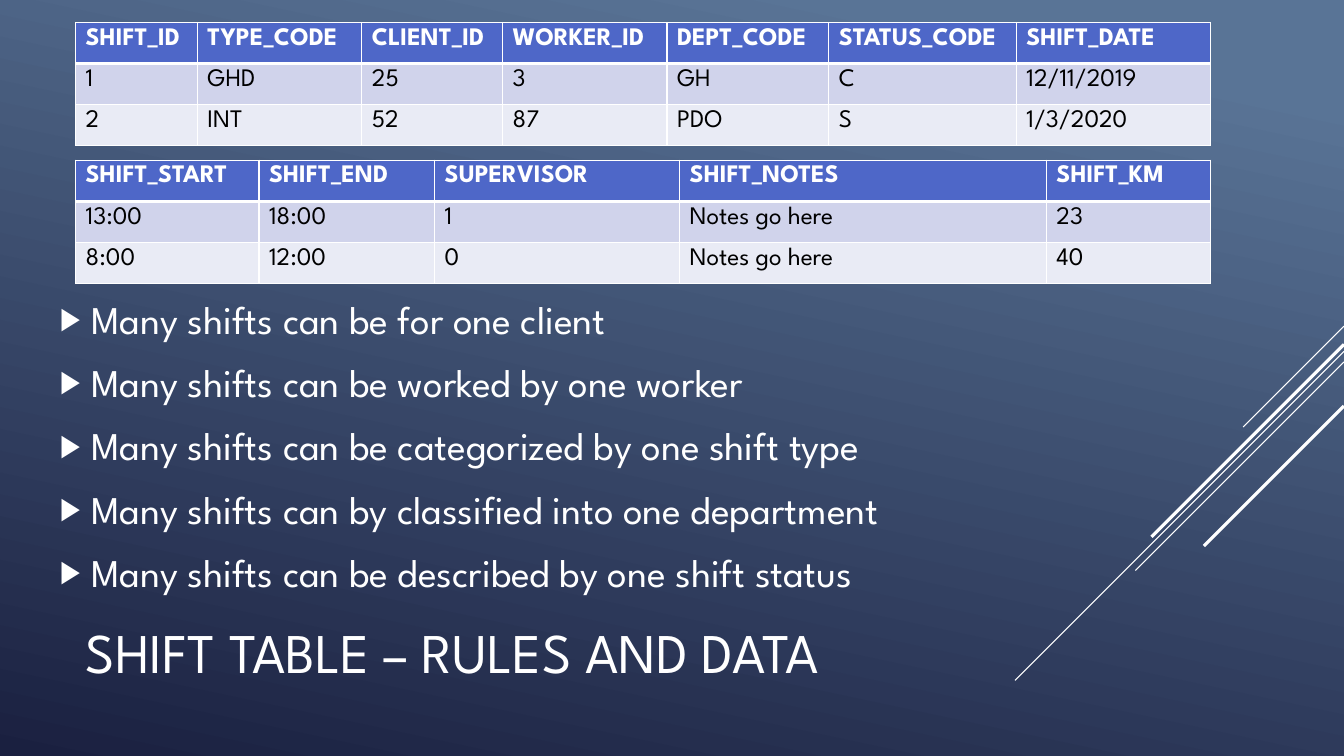
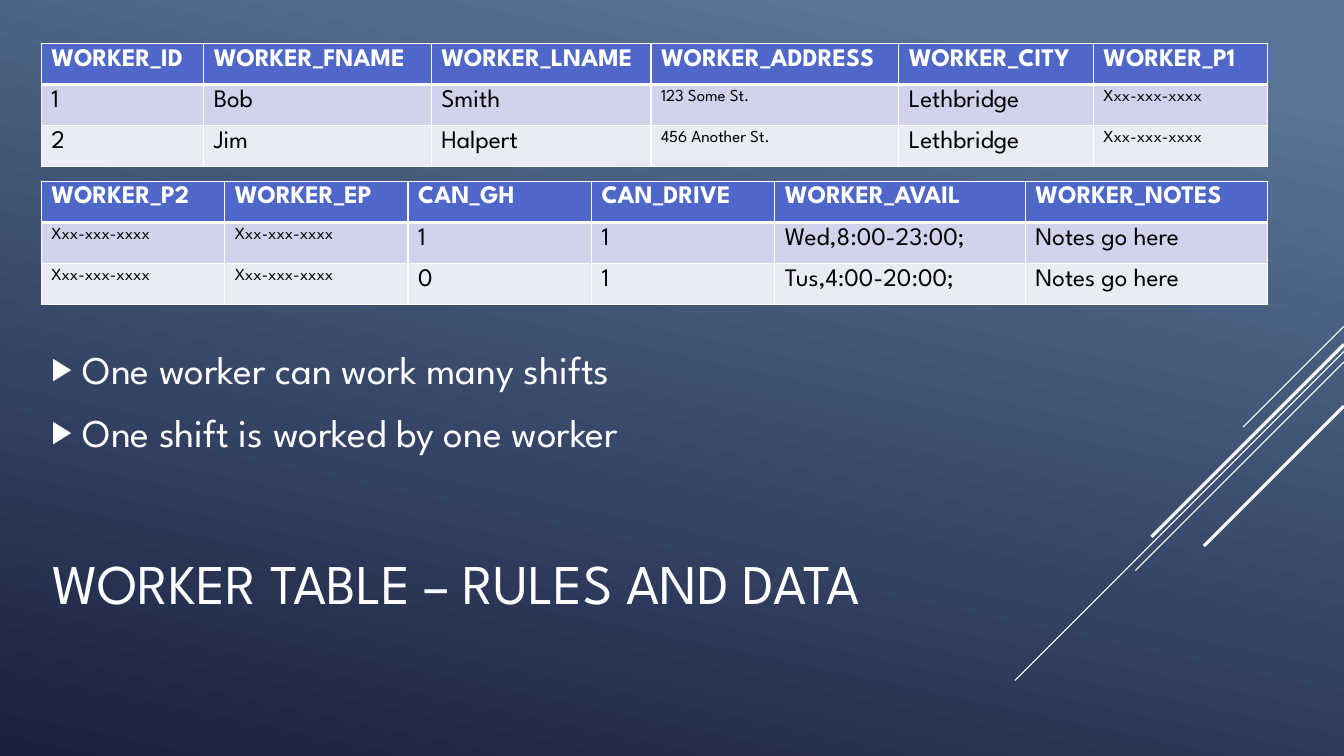
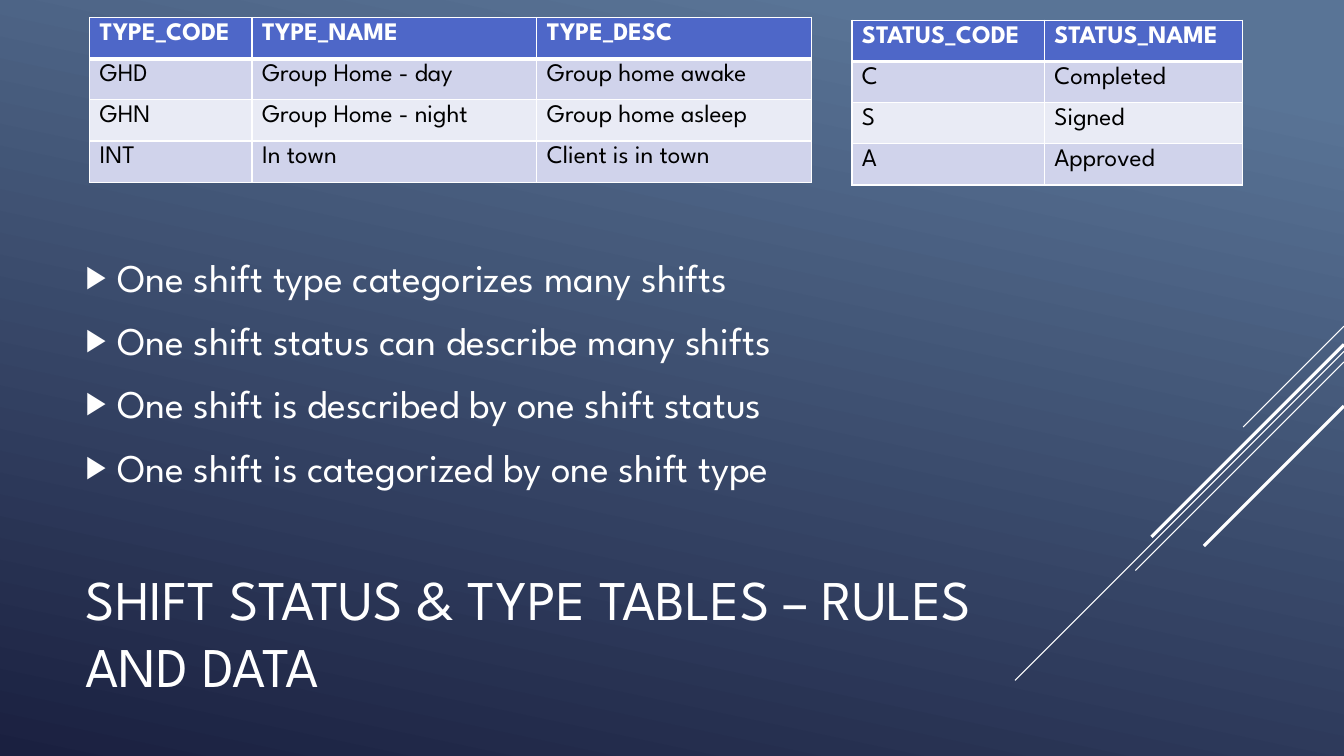
from lxml import etree
from pptx import Presentation
from pptx.dml.color import RGBColor
from pptx.enum import shapes, text
from pptx.oxml import ns
from pptx.util import Pt

FACE = "League Spartan"
WHITE, BLACK = "FFFFFF", "000000"
HEAD, BANDS = "4E67C8", ("D0D3EB", "E9EBF5")
WIDE, HIGH = 960, 540
ROW = 29.4
RAYS = [(233, 72, 0.75), (251, 235, 0.75), (258.5, 149, 0.75),
        (246, 137.5, 2.25), (290, 100, 2.25)]


def rgb(code):
    return RGBColor.from_string(code)


def node(root, tag, **attrs):
    item = etree.SubElement(root, ns.qn(tag))
    for key, val in attrs.items():
        item.set(key, str(val))
    return item


def style(para, size, color, bold=False):
    font = para.font
    font.name, font.size, font.bold = FACE, Pt(size), bold
    font.color.rgb = rgb(color)


def place(shape, left, top, width, height):
    shape.left, shape.top = Pt(left), Pt(top)
    shape.width, shape.height = Pt(width), Pt(height)


def bullet(para):
    props = para._p.get_or_add_pPr()
    props.set("marL", str(Pt(22.5)))
    props.set("indent", str(-Pt(22.5)))
    node(node(props, "a:buClr"), "a:srgbClr", val=WHITE)
    node(props, "a:buSzPct", val=80000)
    node(props, "a:buFont", typeface="Arial")
    node(props, "a:buChar", char="▶")


def title(slide, words, box):
    shape = slide.shapes.title
    place(shape, *box)
    frame = shape.text_frame
    frame.text = words
    frame.auto_size = text.MSO_AUTO_SIZE.NONE
    frame.vertical_anchor = text.MSO_ANCHOR.MIDDLE
    para = frame.paragraphs[0]
    para.alignment = text.PP_ALIGN.LEFT
    style(para, 40, WHITE)


def rules(slide, lines, box, anchor):
    shape = slide.placeholders[1]
    place(shape, *box)
    frame = shape.text_frame
    frame.text = "\n".join(lines)
    frame.auto_size = text.MSO_AUTO_SIZE.NONE
    frame.vertical_anchor = anchor
    for para in frame.paragraphs:
        bullet(para)
        para.space_after = Pt(6)
        style(para, 28, WHITE)


def border(cell, row):
    props = cell._tc.get_or_add_tcPr()
    top, base = (3 if row == 1 else 1), (3 if row == 0 else 1)
    for side, width in zip("LRTB", (1, 1, top, base)):
        line = node(props, "a:ln" + side, w=Pt(width))
        node(node(line, "a:solidFill"), "a:srgbClr", val=WHITE)


def grid(slide, left, top, widths, rows, small=()):
    table = slide.shapes.add_table(
        len(rows), len(widths), Pt(left), Pt(top),
        Pt(sum(widths)), Pt(ROW * len(rows))).table
    for col, width in zip(table.columns, widths):
        col.width = Pt(width)
    for r, row in enumerate(rows):
        table.rows[r].height = Pt(ROW)
        for c, words in enumerate(row.split("|")):
            cell = table.cell(r, c)
            cell.text = words
            border(cell, r)
            cell.fill.solid()
            cell.fill.fore_color.rgb = rgb(BANDS[(r - 1) % 2] if r else HEAD)
            size = 12 if r and c in small else 18
            style(cell.text_frame.paragraphs[0], size,
                  BLACK if r else WHITE, r == 0)


def backdrop(master):
    fill = master.background.fill
    fill.gradient()
    fill.gradient_angle = 258
    stops = zip(fill.gradient_stops, (0.1, 1), ("597496", "1A2040"))
    for stop, pos, color in stops:
        stop.position = pos
        stop.color.rgb = rgb(color)


def rays(slide, master):
    for num, (top, span, width) in enumerate(RAYS):
        line = slide.shapes.add_connector(
            shapes.MSO_CONNECTOR.STRAIGHT,
            Pt(WIDE), Pt(top), Pt(WIDE - span), Pt(top + span))
        line.line.color.rgb = rgb(WHITE)
        line.line.width = Pt(width)
        node(line.element.spPr, "a:effectLst")
        line.element.nvCxnSpPr.cNvPr.set("id", str(100 + num))
        master.shapes.element.append(line.element)


def shift(slide):
    title(slide, "SHIFT TABLE – RULES AND DATA", (54, 405.5, 672, 119))
    grid(slide, 54, 16, (87, 117.5, 100.5, 117.5, 115.5, 134, 139), [
        "SHIFT_ID|TYPE_CODE|CLIENT_ID|WORKER_ID|DEPT_CODE|STATUS_CODE|SHIFT_DATE",
        "1|GHD|25|3|GH|C|12/11/2019",
        "2|INT|52|87|PDO|S|1/3/2020"])
    grid(slide, 54, 114.5, (131, 125.5, 175, 262, 117.5), [
        "SHIFT_START|SHIFT_END|SUPERVISOR|SHIFT_NOTES|SHIFT_KM",
        "13:00|18:00|1|Notes go here|23",
        "8:00|12:00|0|Notes go here|40"])
    rules(slide, [
        "Many shifts can be for one client",
        "Many shifts can be worked by one worker",
        "Many shifts can be categorized by one shift type",
        "Many shifts can by classified into one department",
        "Many shifts can be described by one shift status",
    ], (35.5, 197.5, 777, 241), text.MSO_ANCHOR.MIDDLE)


def worker(slide):
    title(slide, "WORKER TABLE – RULES AND DATA", (30, 353.5, 672, 124.5))
    grid(slide, 29.5, 31, (116, 162.5, 157, 177, 139, 124.5), [
        "WORKER_ID|WORKER_FNAME|WORKER_LNAME|WORKER_ADDRESS|WORKER_CITY|WORKER_P1",
        "1|Bob|Smith|123 Some St.|Lethbridge|Xxx-xxx-xxxx",
        "2|Jim|Halpert|456 Another St.|Lethbridge|Xxx-xxx-xxxx"], (3, 5))
    grid(slide, 29.5, 129.5, (131, 131, 131, 131, 179, 173), [
        "WORKER_P2|WORKER_EP|CAN_GH|CAN_DRIVE|WORKER_AVAIL|WORKER_NOTES",
        "Xxx-xxx-xxxx|Xxx-xxx-xxxx|1|1|Wed,8:00-23:00;|Notes go here",
        "Xxx-xxx-xxxx|Xxx-xxx-xxxx|0|1|Tus,4:00-20:00;|Notes go here"], (0, 1))
    rules(slide, [
        "One worker can work many shifts",
        "One shift is worked by one worker",
    ], (29.5, 186.5, 672, 199), text.MSO_ANCHOR.MIDDLE)


def status(slide):
    title(slide, "SHIFT STATUS & TYPE TABLES – RULES AND DATA",
          (54, 391.5, 672, 119))
    grid(slide, 608.5, 14.5, (137.5, 141.5), [
        "STATUS_CODE|STATUS_NAME", "C|Completed", "S|Signed", "A|Approved"])
    grid(slide, 64, 12.5, (116, 203.5, 196), [
        "TYPE_CODE|TYPE_NAME|TYPE_DESC",
        "GHD|Group Home - day|Group home awake",
        "GHN|Group Home - night|Group home asleep",
        "INT|In town|Client is in town"])
    rules(slide, [
        "One shift type categorizes many shifts",
        "One shift status can describe many shifts",
        "One shift is described by one shift status",
        "One shift is categorized by one shift type",
    ], (54, 177, 745, 181.5), text.MSO_ANCHOR.TOP)


def main():
    deck = Presentation()
    deck.slide_width, deck.slide_height = Pt(WIDE), Pt(HIGH)
    backdrop(deck.slide_master)
    for build in (shift, worker, status):
        build(deck.slides.add_slide(deck.slide_layouts[1]))
    rays(deck.slides[0], deck.slide_master)
    deck.save("out.pptx")


if __name__ == "__main__":
    main()
